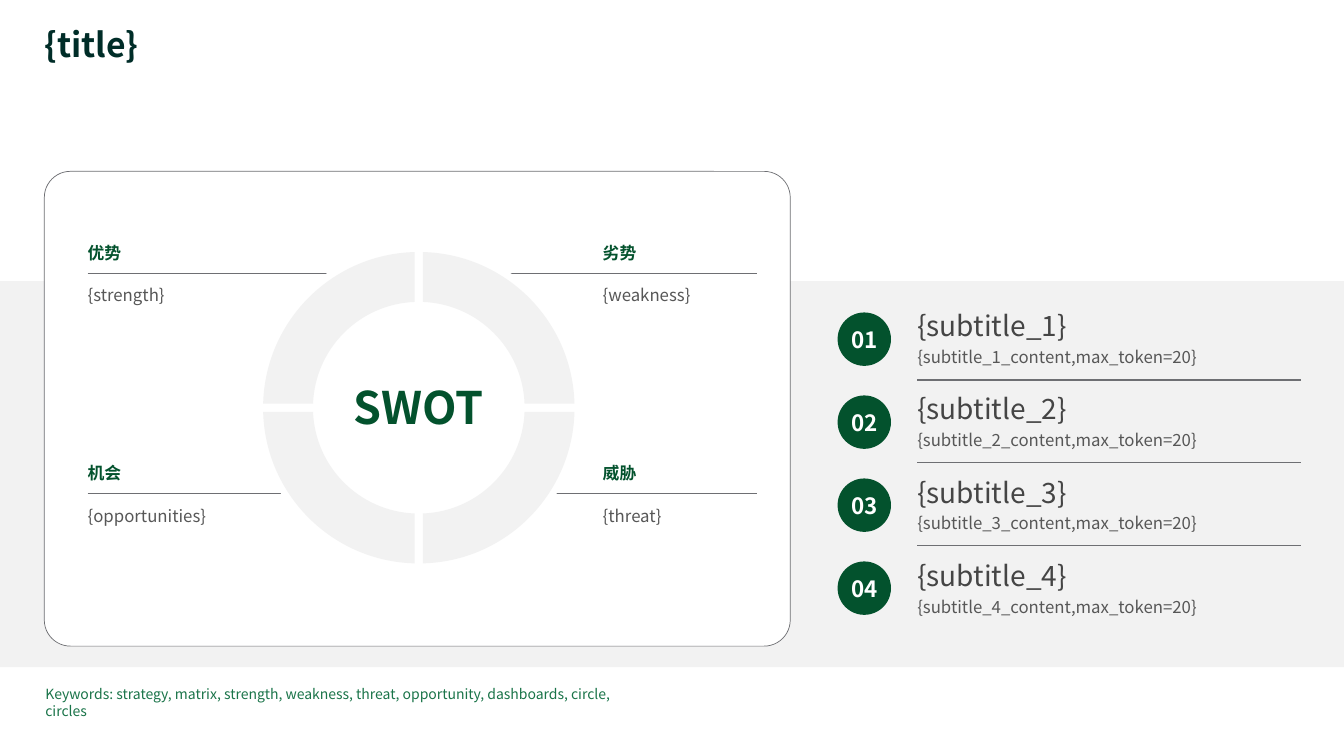
from dataclasses import dataclass
from math import asin, cos, pi, sin, tan

from lxml.etree import SubElement
from pptx import Presentation
from pptx.dml.color import RGBColor
from pptx.enum.shapes import MSO_CONNECTOR, MSO_SHAPE
from pptx.enum.text import MSO_ANCHOR, MSO_AUTO_SIZE, PP_ALIGN
from pptx.oxml.ns import qn
from pptx.util import Inches, Pt

FONT = "Noto Sans CJK JP"
GREEN, DARK_GREEN, LEAF = "03522D", "002D28", "1A7449"
GREY, WHITE, RULE, INK, BODY = "F2F2F2", "FFFFFF", "6E6F73", "454545", "575757"
SLIDE_WIDTH, SLIDE_HEIGHT = 40 / 3, 7.5
RING_LEFT, RING_TOP, RING_SIZE, HOLE_SIZE, RING_GAP = 2.61, 2.5, 3.09, 2.1, 0.08
AGENDA_COUNT = 4


@dataclass(frozen=True)
class Line:
    text: str
    size: float
    color: str
    bold: bool = False
    align: PP_ALIGN = PP_ALIGN.LEFT
    space_after: float = 0
    spacing: float = 1.0


@dataclass(frozen=True)
class Quadrant:
    heading: str
    content: str
    left: float
    rule_top: float
    rule_start: float
    rule_end: float
    content_top: float


QUADRANTS = [
    Quadrant("优势", "{strength}", 0.87, 2.71, 0.87, 3.43, 2.82),
    Quadrant("机会", "{opportunities}", 0.87, 4.89, 0.87, 2.95, 5.02),
    Quadrant("劣势", "{weakness}", 5.98, 2.71, 4.58, 7.51, 2.82),
    Quadrant("威胁", "{threat}", 5.98, 4.89, 4.58, 7.51, 5.02),
]


def color_of(value: str) -> RGBColor:
    return RGBColor.from_string(value)


def set_all(target, values: dict) -> None:
    for name, value in values.items():
        setattr(target, name, value)


def write(shape, lines: list[Line], **frame_format) -> None:
    frame = shape.text_frame
    margins = dict.fromkeys(("margin_left", "margin_top", "margin_right", "margin_bottom"), 0)
    set_all(frame, margins | {"word_wrap": True, "vertical_anchor": MSO_ANCHOR.TOP} | frame_format)
    for index, line in enumerate(lines):
        paragraph = frame.add_paragraph() if index else frame.paragraphs[0]
        set_all(paragraph, {"alignment": line.align, "line_spacing": line.spacing,
                            "space_after": Pt(line.space_after)})
        run = paragraph.add_run()
        run.text = line.text
        run.font.color.rgb = color_of(line.color)
        set_all(run.font, {"name": FONT, "size": Pt(line.size), "bold": line.bold})
        SubElement(run.font._element, qn("a:ea")).set("typeface", FONT)


def add_text(slide, left: float, top: float, width: float, height: float,
             lines: list[Line], **frame_format) -> None:
    box = slide.shapes.add_textbox(Inches(left), Inches(top), Inches(width), Inches(height))
    write(box, lines, **{"auto_size": MSO_AUTO_SIZE.SHAPE_TO_FIT_TEXT} | frame_format)


def paint(shape, fill: str) -> None:
    shape.shadow.inherit = False
    shape.fill.solid()
    shape.fill.fore_color.rgb = color_of(fill)
    shape.line.fill.background()


def add_shape(slide, kind: MSO_SHAPE, left: float, top: float,
              width: float, height: float, fill: str):
    shape = slide.shapes.add_shape(kind, Inches(left), Inches(top), Inches(width), Inches(height))
    paint(shape, fill)
    return shape


def add_rule(slide, start: float, end: float, top: float, weight: float) -> None:
    rule = slide.shapes.add_connector(MSO_CONNECTOR.STRAIGHT, Inches(start), Inches(top),
                                      Inches(end), Inches(top))
    rule.line.color.rgb = color_of(RULE)
    rule.line.width = Pt(weight)
    SubElement(rule._element.spPr, qn("a:effectLst"))


def arc_points(radius: float, quarter: int) -> list[tuple[int, int]]:
    trim = asin(RING_GAP / 2 / radius)
    start, end = quarter * pi / 2 + trim, (quarter + 1) * pi / 2 - trim
    pull = 4 / 3 * tan((end - start) / 4)
    units = [
        (cos(start), sin(start)),
        (cos(start) - pull * sin(start), sin(start) + pull * cos(start)),
        (cos(end) + pull * sin(end), sin(end) - pull * cos(end)),
        (cos(end), sin(end)),
    ]
    return [(Inches(RING_LEFT + RING_SIZE / 2 + radius * x),
             Inches(RING_TOP + RING_SIZE / 2 + radius * y)) for x, y in units]


def bend(segments: list) -> None:
    outline = segments[0].getparent()
    curve = SubElement(outline, qn("a:cubicBezTo"))
    outline.replace(segments[0], curve)
    for segment in segments:
        curve.append(segment[0])
    for segment in segments[1:]:
        outline.remove(segment)


def add_ring(slide) -> None:
    group = slide.shapes.add_group_shape()
    for quarter in range(4):
        points = arc_points(RING_SIZE / 2, quarter) + arc_points(HOLE_SIZE / 2, quarter)[::-1]
        builder = group.shapes.build_freeform(*points[0])
        builder.add_line_segments(points[1:], close=True)
        segment_shape = builder.convert_to_shape()
        paint(segment_shape, GREY)
        sides = list(segment_shape._element.iter(qn("a:lnTo")))
        bend(sides[:3])
        bend(sides[4:7])


def spread(first: float, last: float, index: int) -> float:
    return first + (last - first) * index / (AGENDA_COUNT - 1)


def add_agenda(slide) -> None:
    for index in range(AGENDA_COUNT):
        number = index + 1
        badge = add_shape(slide, MSO_SHAPE.OVAL, 8.31, spread(3.1, 5.57, index),
                          0.53, 0.53, GREEN)
        write(badge, [Line(f"{number:02}", 16, WHITE, True, PP_ALIGN.CENTER)],
              vertical_anchor=MSO_ANCHOR.MIDDLE)
        add_text(slide, 9.1, spread(3.06, 5.54, index), 3.82, 0.58, [
            Line(f"{{subtitle_{number}}}", 20, INK, space_after=3),
            Line(f"{{subtitle_{number}_content,max_token=20}}", 12, BODY, space_after=3),
        ])
        if number < AGENDA_COUNT:
            add_rule(slide, 9.1, 12.91, 3.77 + 0.82 * index, 1)


def add_matrix(slide) -> None:
    for quadrant in QUADRANTS:
        add_rule(slide, quadrant.rule_start, quadrant.rule_end, quadrant.rule_top, 0.5)
    add_shape(slide, MSO_SHAPE.OVAL, 2.54, 2.43, 3.23, 3.22, WHITE)
    add_ring(slide)
    hub = add_shape(slide, MSO_SHAPE.OVAL, 3.17, 3.05, 1.97, 1.97, WHITE)
    write(hub, [Line("SWOT", 32, GREEN, True, PP_ALIGN.CENTER)],
          vertical_anchor=MSO_ANCHOR.MIDDLE, word_wrap=False)
    for quadrant in QUADRANTS:
        add_text(slide, quadrant.left, quadrant.rule_top - 0.3, 1.53, 0.2,
                 [Line(quadrant.heading, 12, GREEN, True)], vertical_anchor=MSO_ANCHOR.BOTTOM)
        add_text(slide, quadrant.left, quadrant.content_top, 1.53, 0.2,
                 [Line(quadrant.content, 12, BODY)])


def main() -> None:
    presentation = Presentation()
    set_all(presentation, {"slide_width": Inches(SLIDE_WIDTH),
                           "slide_height": Inches(SLIDE_HEIGHT)})
    slide = presentation.slides.add_slide(presentation.slide_layouts[5])
    title = slide.shapes.title
    set_all(title, {"left": Inches(0.44), "top": Inches(0.28),
                    "width": Inches(11.03), "height": Inches(0.37)})
    write(title, [Line("{title}", 24, DARK_GREEN, True, spacing=0.9)],
          auto_size=MSO_AUTO_SIZE.SHAPE_TO_FIT_TEXT)
    add_shape(slide, MSO_SHAPE.RECTANGLE, 0, 2.79, SLIDE_WIDTH, 3.83, GREY)
    panel = add_shape(slide, MSO_SHAPE.ROUNDED_RECTANGLE, 0.44, 1.7, 7.4, 4.71, WHITE)
    panel.adjustments[0] = 0.055
    panel.line.color.rgb = color_of(RULE)
    panel.line.width = Pt(0.5)
    add_agenda(slide)
    add_matrix(slide)
    add_text(slide, 0.45, 6.8, 5.81, 0.17, [
        Line("Keywords: strategy, matrix, strength, weakness, threat, opportunity, "
             "dashboards, circle, circles", 10, LEAF, space_after=1.1)])
    presentation.save("out.pptx")


if __name__ == "__main__":
    main()
